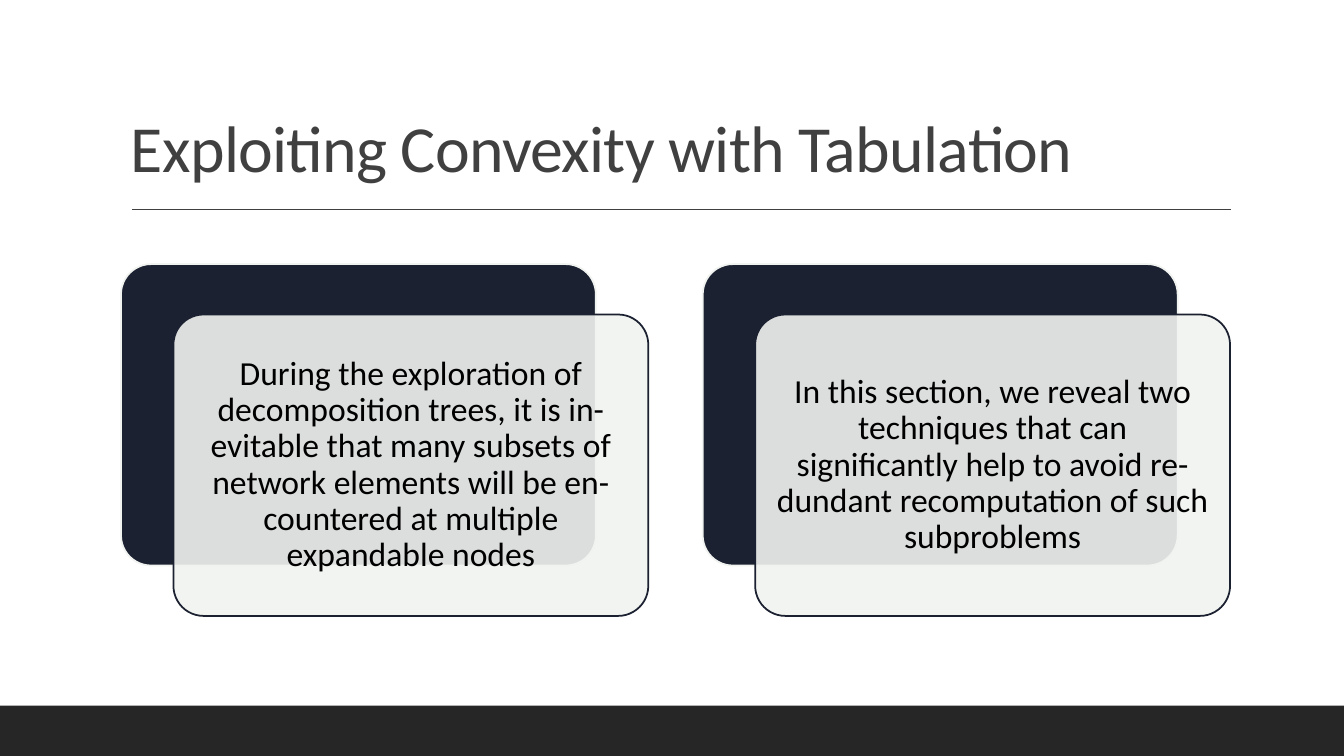
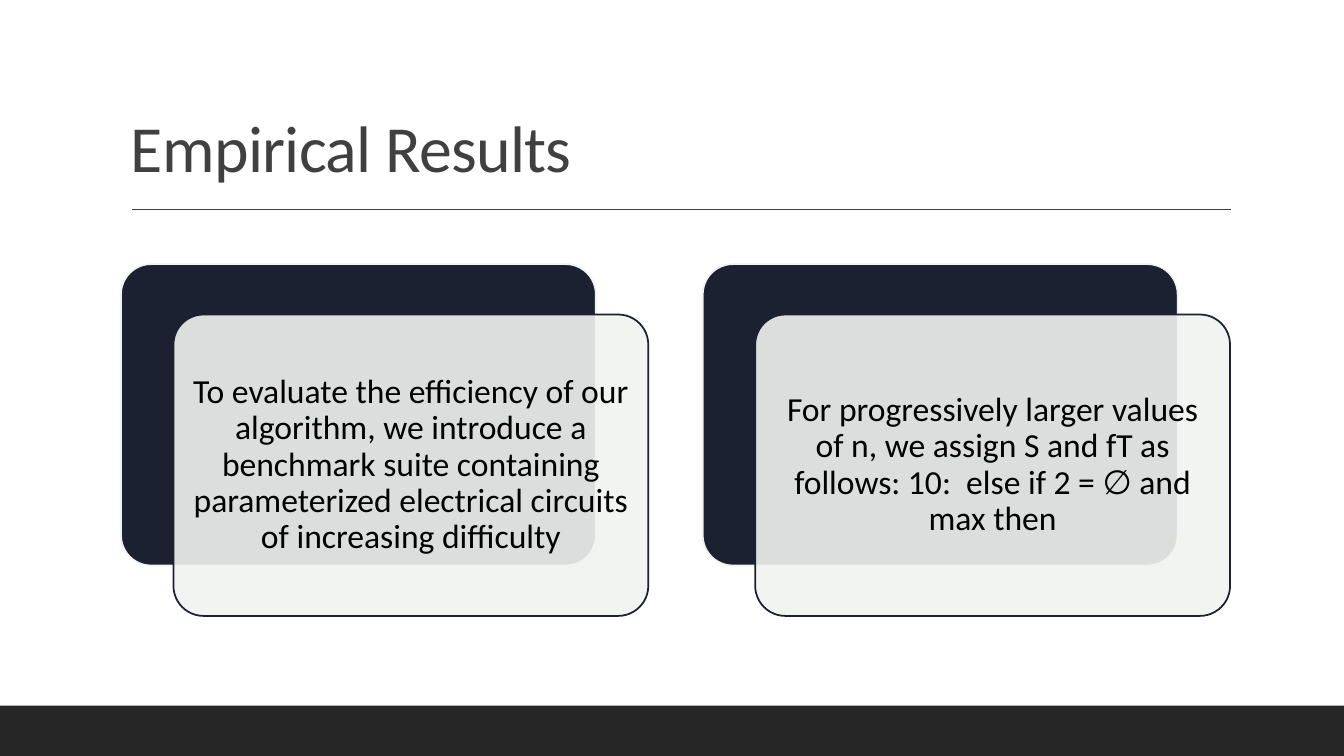
import dataclasses

import lxml.etree
import pptx
import pptx.dml.color
import pptx.enum.shapes
import pptx.enum.text
import pptx.oxml.ns
import pptx.util

Inches = pptx.util.Inches
Pt = pptx.util.Pt
Shape = pptx.enum.shapes.MSO_SHAPE
Align = pptx.enum.text.PP_ALIGN
Anchor = pptx.enum.text.MSO_ANCHOR
qn = pptx.oxml.ns.qn


@dataclasses.dataclass(frozen=True)
class Theme:
    font: str = "Calibri"
    background: str = "FFFFFF"
    title: str = "404040"
    band: str = "262626"
    navy: str = "1B2130"
    mist: str = "F1F3F0"
    body: str = "000000"
    title_size: float = 47
    body_size: float = 24
    rule_width: float = 1
    card_line: float = 1.25


THEME = Theme()
SLIDE_W, SLIDE_H = 13.33, 7.5
MARGIN, CONTENT_W = 1.2, 11
CARD_TOP, CARD_W, CARD_H = 2.62, 4.71, 2.99
CARD_SHIFT_X, CARD_SHIFT_Y = 0.52, 0.5
BAND_H = SLIDE_H / 15

SLIDES = [
    ("Exploiting Convexity with Tabulation", [
        "During the exploration of decomposition trees, it is in- evitable that many "
        "subsets of network elements will be en- countered at multiple expandable nodes",
        "In this section, we reveal two techniques that can significantly help to avoid "
        "re- dundant recomputation of such subproblems",
    ]),
    ("Empirical Results", [
        "To evaluate the efficiency of our algorithm, we introduce a benchmark suite "
        "containing parameterized electrical circuits of increasing difficulty",
        "For progressively larger values of n, we assign S and fT as follows: "
        "10:  else if 2 = ∅ and max then",
    ]),
]


def rgb(value):
    return pptx.dml.color.RGBColor.from_string(value)


def write_text(shape, text, *, size, color, align=Align.LEFT, anchor=Anchor.MIDDLE,
               inset_x=0.1, inset_y=0.1, tracking=0):
    """Fill a shape with one formatted paragraph; tracking is in points."""
    frame = shape.text_frame
    frame.word_wrap = True
    frame.vertical_anchor = anchor
    frame.margin_left = frame.margin_right = Inches(inset_x)
    frame.margin_top = frame.margin_bottom = Inches(inset_y)
    paragraph = frame.paragraphs[0]
    paragraph.alignment = align
    paragraph.line_spacing = 0.9
    run = paragraph.add_run()
    run.text = text
    run.font.name = THEME.font
    run.font.size = Pt(size)
    run.font.color.rgb = rgb(color)
    if tracking:
        run.font._element.set("spc", str(round(tracking * 100)))


def add_block(slide, kind, left, top, width, height, fill, line=None, opacity=None):
    block = slide.shapes.add_shape(
        kind, Inches(left), Inches(top), Inches(width), Inches(height))
    block.shadow.inherit = False
    block.fill.solid()
    block.fill.fore_color.rgb = rgb(fill)
    if opacity is not None:
        tint = block._element.spPr.find(qn("a:solidFill")).find(qn("a:srgbClr"))
        lxml.etree.SubElement(tint, qn("a:alpha")).set("val", str(opacity * 1000))
    if line:
        block.line.color.rgb = rgb(line)
        block.line.width = Pt(THEME.card_line)
    else:
        block.line.fill.background()
    return block


def add_rule(slide, left, right, y):
    rule = slide.shapes.add_connector(
        pptx.enum.shapes.MSO_CONNECTOR.STRAIGHT,
        Inches(left), Inches(y), Inches(right), Inches(y))
    rule.line.color.rgb = rgb(THEME.title)
    rule.line.width = Pt(THEME.rule_width)
    lxml.etree.SubElement(rule._element.spPr, qn("a:effectLst"))


def add_frame(slide, heading):
    """Draw what all slides share: background, title, rule and bottom band."""
    slide.background.fill.solid()
    slide.background.fill.fore_color.rgb = rgb(THEME.background)
    title = slide.shapes.add_textbox(
        Inches(MARGIN), Inches(0.31), Inches(CONTENT_W), Inches(1.59))
    write_text(title, heading, size=THEME.title_size, color=THEME.title,
               anchor=Anchor.BOTTOM, inset_y=0.05, tracking=-0.5)
    add_rule(slide, MARGIN + 0.11, MARGIN + CONTENT_W + 0.01, 2.08)
    add_block(slide, Shape.RECTANGLE, 0, SLIDE_H - BAND_H, SLIDE_W, BAND_H, THEME.band)


def add_layered_card(slide, left, text):
    """Draw a dark card with a translucent text card shifted over it."""
    back = add_block(slide, Shape.ROUNDED_RECTANGLE, left, CARD_TOP, CARD_W, CARD_H,
                     THEME.navy, line=THEME.mist)
    front = add_block(slide, Shape.ROUNDED_RECTANGLE, left + CARD_SHIFT_X,
                      CARD_TOP + CARD_SHIFT_Y, CARD_W, CARD_H,
                      THEME.mist, line=THEME.navy, opacity=90)
    for card in (back, front):
        card.adjustments[0] = 0.1
    write_text(front, text, size=THEME.body_size, color=THEME.body, align=Align.CENTER)


def add_card_row(slide, texts):
    """Spread layered cards evenly from margin to margin."""
    pitch = (CONTENT_W - CARD_W - CARD_SHIFT_X) / (len(texts) - 1)
    for column, text in enumerate(texts):
        add_layered_card(slide, MARGIN + column * pitch, text)


def main():
    deck = pptx.Presentation()
    deck.slide_width, deck.slide_height = Inches(SLIDE_W), Inches(SLIDE_H)
    blank = deck.slide_layouts[6]
    for heading, texts in SLIDES:
        slide = deck.slides.add_slide(blank)
        add_frame(slide, heading)
        add_card_row(slide, texts)
    deck.save("out.pptx")


if __name__ == "__main__":
    main()
